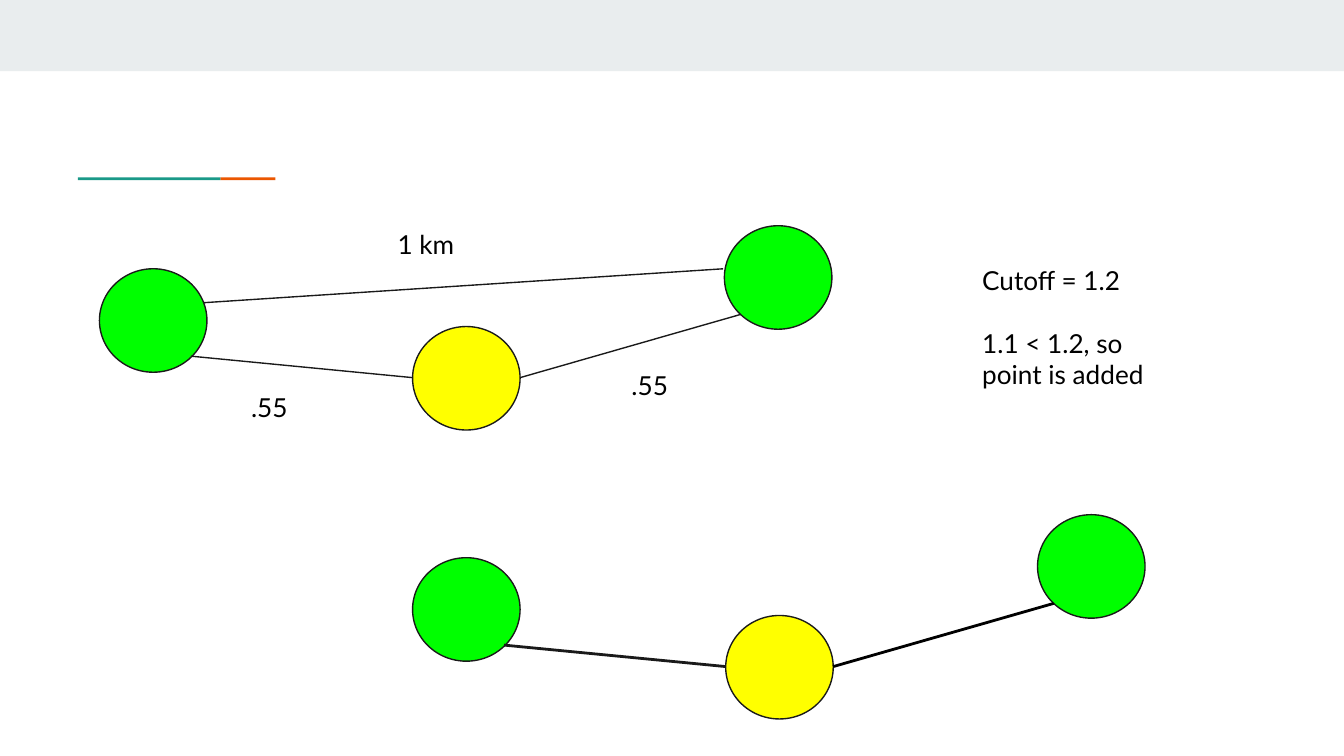
"""Build a slide on adding a point to a route when the detour is below a cutoff."""
from dataclasses import dataclass

from lxml import etree
from pptx import Presentation
from pptx.dml.color import RGBColor
from pptx.enum.shapes import MSO_CONNECTOR, MSO_SHAPE
from pptx.oxml.ns import qn
from pptx.util import Inches, Pt

RECT = MSO_SHAPE.RECTANGLE
OVAL = MSO_SHAPE.OVAL
LINE = MSO_CONNECTOR.STRAIGHT


@dataclass(frozen=True)
class Theme:
    """Colours, font and sizes of the slide."""
    band: str = "E9EDEE"
    teal: str = "1A9988"
    orange: str = "EB5600"
    end: str = "00FF00"
    mid: str = "FFFF00"
    ink: str = "1A1A1A"
    text: str = "000000"
    font: str = "Lato"
    size: float = 14
    gap: float = 16.5
    thin: float = 0.75
    thick: float = 1.5


def write(frame, text, *, font, size, color, gap=0):
    """Fill a frame with one paragraph for each line of text."""
    frame.word_wrap = True
    frame.margin_left = frame.margin_right = Inches(0.1)
    frame.margin_top = frame.margin_bottom = Inches(0.1)
    for i, line in enumerate(text.split("\n")):
        para = frame.add_paragraph() if i else frame.paragraphs[0]
        para.space_before = Pt(gap if i else 0)
        run = para.add_run()
        run.text = line
        run.font.name = font
        run.font.size = Pt(size)
        run.font.color.rgb = RGBColor.from_string(color)


class Page:
    """Hold the theme and the current slide, and draw on it."""

    def __init__(self, slide, theme):
        """Keep the slide and its theme."""
        self.slide = slide
        self.theme = theme

    def shape(self, kind, left, top, width, height, fill, line=None):
        """Draw a filled preset shape."""
        shape = self.slide.shapes.add_shape(
            kind, Inches(left), Inches(top), Inches(width), Inches(height))
        shape.shadow.inherit = False
        shape.fill.solid()
        shape.fill.fore_color.rgb = RGBColor.from_string(fill)
        if line:
            shape.line.color.rgb = RGBColor.from_string(line)
            shape.line.width = Pt(self.theme.thin)
        else:
            shape.line.fill.background()

    def node(self, left, top, fill):
        """Draw one point of a route."""
        self.shape(OVAL, left, top, 0.8, 0.77, fill, self.theme.ink)

    def edge(self, start, end, width, color=None):
        """Draw a straight line between two places."""
        line = self.slide.shapes.add_connector(
            LINE, *(Inches(v) for v in (*start, *end)))
        line.line.color.rgb = RGBColor.from_string(color or self.theme.ink)
        line.line.width = Pt(width)
        etree.SubElement(line._element.spPr, qn("a:effectLst"))

    def label(self, text, left, top, width=0.8, height=0.77):
        """Place a text box."""
        box = self.slide.shapes.add_textbox(
            Inches(left), Inches(top), Inches(width), Inches(height))
        theme = self.theme
        write(box.text_frame, text, font=theme.font, size=theme.size,
              color=theme.text, gap=theme.gap)

    def route(self, left, top, width, last):
        """Draw two end points joined through a middle point."""
        theme = self.theme
        self.node(left + 4.65, top, theme.end)
        self.node(left, top + 0.32, theme.end)
        self.node(left + 2.33, top + 0.75, theme.mid)
        self.edge((left + 0.68, top + 0.97), (left + 2.33, top + 1.13), width)
        self.edge((left + 3.13, top + 1.13), (left + 4.77, top + 0.66),
                  width, last)


def main():
    """Build and save the slide."""
    deck = Presentation()
    deck.slide_width = Inches(10)
    deck.slide_height = deck.slide_width * 9 // 16
    theme = Theme()
    page = Page(deck.slides.add_slide(deck.slide_layouts[6]), theme)

    page.shape(RECT, 0, 0, 10, 0.53, theme.band)
    page.shape(RECT, 1.64, 1.32, 0.41, 0.02, theme.orange)
    page.shape(RECT, 0.58, 1.32, 1.06, 0.02, theme.teal)

    page.edge((1.4, 2.26), (5.38, 2), theme.thin)
    page.route(0.74, 1.68, theme.thin, theme.ink)
    page.route(3.07, 3.83, theme.thick, theme.text)

    page.label("1 km", 2.86, 1.6, height=0.27)
    page.label(".55", 1.77, 2.81)
    page.label(".55", 4.6, 2.65)
    page.label("Cutoff = 1.2\n1.1 < 1.2, so point is added",
               7.21, 1.87, 1.73, 0.89)
    deck.save("out.pptx")


if __name__ == "__main__":
    main()
